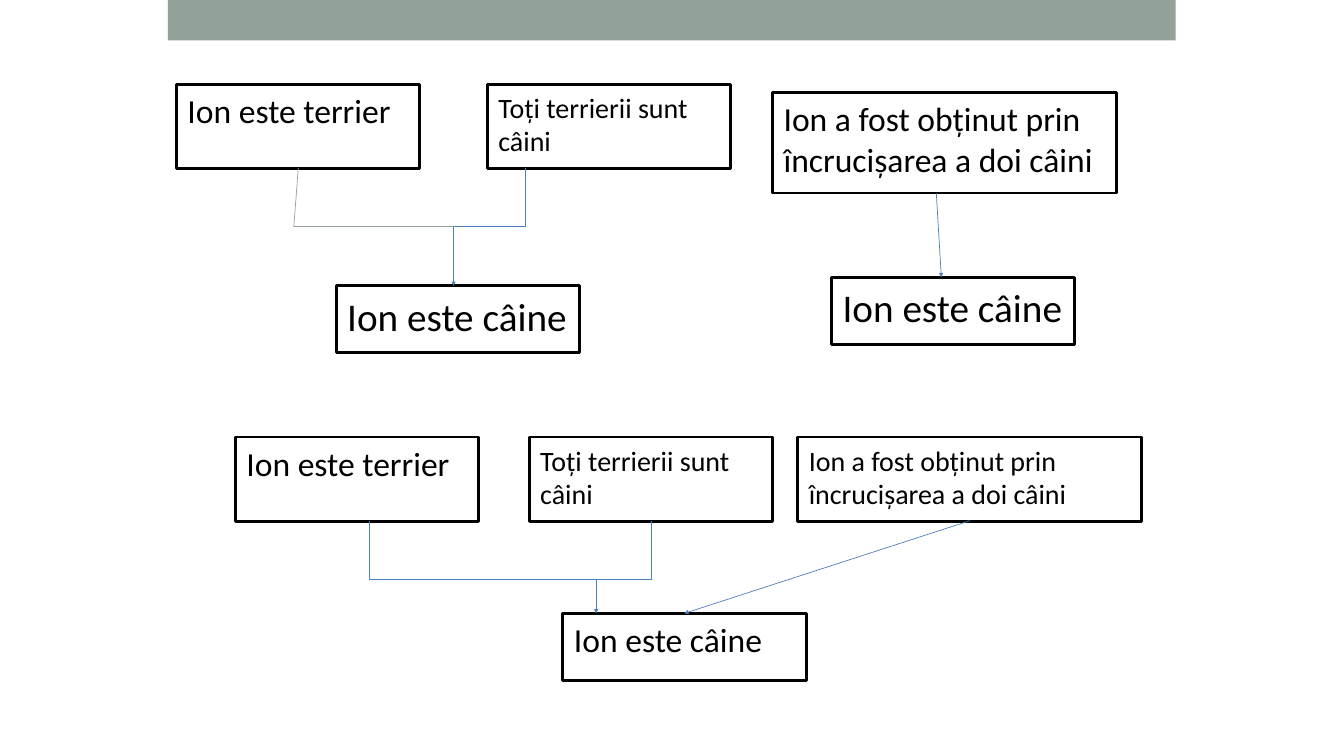
from dataclasses import dataclass

from lxml import etree
from pptx import Presentation
from pptx.dml.color import RGBColor
from pptx.enum.shapes import MSO_CONNECTOR, MSO_SHAPE
from pptx.enum.text import MSO_ANCHOR, PP_ALIGN
from pptx.oxml.ns import qn
from pptx.util import Inches, Pt

RECTANGLE = MSO_SHAPE.RECTANGLE
STRAIGHT = MSO_CONNECTOR.STRAIGHT
TOP = MSO_ANCHOR.TOP
LEFT = PP_ALIGN.LEFT

Point = tuple[float, float]


@dataclass(frozen=True)
class Theme:
    """Colours, font and type sizes of the slide."""
    sage: RGBColor = RGBColor(0x93, 0xA2, 0x99)
    blue: RGBColor = RGBColor(0x4A, 0x7E, 0xBB)
    black: RGBColor = RGBColor(0, 0, 0)
    white: RGBColor = RGBColor(255, 255, 255)
    font: str = "Calibri"
    small: int = 40
    medium: int = 48
    large: int = 56
    border: int = 4
    thin: int = 1


THEME = Theme()


@dataclass(frozen=True)
class Statement:
    """A framed premise or conclusion."""
    text: str
    left: float
    top: float
    width: float
    height: float
    size: int


@dataclass(frozen=True)
class Link:
    """A straight line, with or without an arrowhead."""
    start: Point
    end: Point
    color: RGBColor = THEME.blue
    arrow: bool = True


TERRIER = "Ion este terrier"
ALL_TERRIERS = "Toți terrierii sunt câini"
PARENTS = "Ion a fost obținut prin încrucișarea a doi câini"
DOG = "Ion este câine"
NARROW, WIDE = 4.83, 6.83
PREMISE, CONCLUSION = 1.67, 1.33
UPPER, LOWER = 1.67, 8.67

STATEMENTS = [
    Statement(TERRIER, 3.5, UPPER, NARROW, PREMISE, THEME.medium),
    Statement(ALL_TERRIERS, 9.67, UPPER, NARROW, PREMISE, THEME.small),
    Statement(DOG, 6.67, 5.67, NARROW, CONCLUSION, THEME.large),
    Statement(PARENTS, 15.33, 1.83, WIDE, 2, THEME.medium),
    Statement(DOG, 16.5, 5.5, NARROW, CONCLUSION, THEME.large),
    Statement(TERRIER, 4.67, LOWER, NARROW, PREMISE, THEME.medium),
    Statement(ALL_TERRIERS, 10.5, LOWER, NARROW, PREMISE, THEME.small),
    Statement(PARENTS, 15.83, LOWER, WIDE, PREMISE, THEME.small),
    Statement(DOG, 11.17, 12.17, NARROW, CONCLUSION, THEME.medium),
]

ELBOWS: list[list[Point]] = [
    [(10.42, 3.33), (10.42, 4.5), (9, 4.5)],
    [(7.33, 10.33), (7.33, 11.5), (11.5, 11.5)],
    [(12.92, 10.33), (12.92, 11.5), (11.5, 11.5)],
]

LINKS = [
    Link((11.83, 11.5), (11.83, 12.17)),
    Link((19.25, 10.33), (13.58, 12.17)),
    Link((18.58, 3.83), (18.68, 5.5)),
    Link((9, 4.5), (9, 5.67)),
    Link((5.92, 3.33), (5.83, 4.5), THEME.sage, False),
    Link((5.83, 4.5), (9, 4.5), THEME.sage, False),
]


def add_header(slide) -> None:
    """Draw the coloured band at the top."""
    band = slide.shapes.add_shape(
        RECTANGLE, Inches(3.33), 0, Inches(20), Inches(0.8))
    band.shadow.inherit = False
    band.fill.solid()
    band.fill.fore_color.rgb = THEME.sage
    band.line.fill.background()


def add_statement(slide, statement: Statement) -> None:
    """Draw a framed box with its text at the top left."""
    box = slide.shapes.add_shape(
        RECTANGLE, Inches(statement.left), Inches(statement.top),
        Inches(statement.width), Inches(statement.height))
    box.shadow.inherit = False
    box.fill.solid()
    box.fill.fore_color.rgb = THEME.white
    box.line.color.rgb = THEME.black
    box.line.width = Pt(THEME.border)
    frame = box.text_frame
    frame.word_wrap = True
    frame.vertical_anchor = TOP
    frame.margin_left = frame.margin_right = Inches(0.22)
    frame.margin_top = frame.margin_bottom = Inches(0.12)
    frame.text = statement.text
    paragraph = frame.paragraphs[0]
    paragraph.alignment = LEFT
    font = paragraph.runs[0].font
    font.name = THEME.font
    font.size = Pt(statement.size)
    font.color.rgb = THEME.black


def add_elbow(slide, points: list[Point]) -> None:
    """Draw an open line with a right-angled bend."""
    corners = [(Inches(x), Inches(y)) for x, y in points]
    builder = slide.shapes.build_freeform(*corners[0])
    builder.add_line_segments(corners[1:], close=False)
    elbow = builder.convert_to_shape()
    elbow.shadow.inherit = False
    elbow.fill.background()
    elbow.line.color.rgb = THEME.blue
    elbow.line.width = Pt(THEME.thin)


def add_link(slide, link: Link) -> None:
    """Draw a straight connector."""
    connector = slide.shapes.add_connector(
        STRAIGHT, *(Inches(value) for value in link.start + link.end))
    connector.line.color.rgb = link.color
    connector.line.width = Pt(THEME.thin)
    properties = connector._element.spPr
    if link.arrow:
        outline = properties.find(qn("a:ln"))
        etree.SubElement(outline, qn("a:tailEnd"), type="triangle")
    etree.SubElement(properties, qn("a:effectLst"))


def build() -> None:
    """Build and save the argument diagrams."""
    presentation = Presentation()
    presentation.slide_width = Inches(26.67)
    presentation.slide_height = Inches(15)
    slide = presentation.slides.add_slide(presentation.slide_layouts[6])
    add_header(slide)
    for statement in STATEMENTS:
        add_statement(slide, statement)
    for points in ELBOWS:
        add_elbow(slide, points)
    for link in LINKS:
        add_link(slide, link)
    presentation.save("out.pptx")


build()
